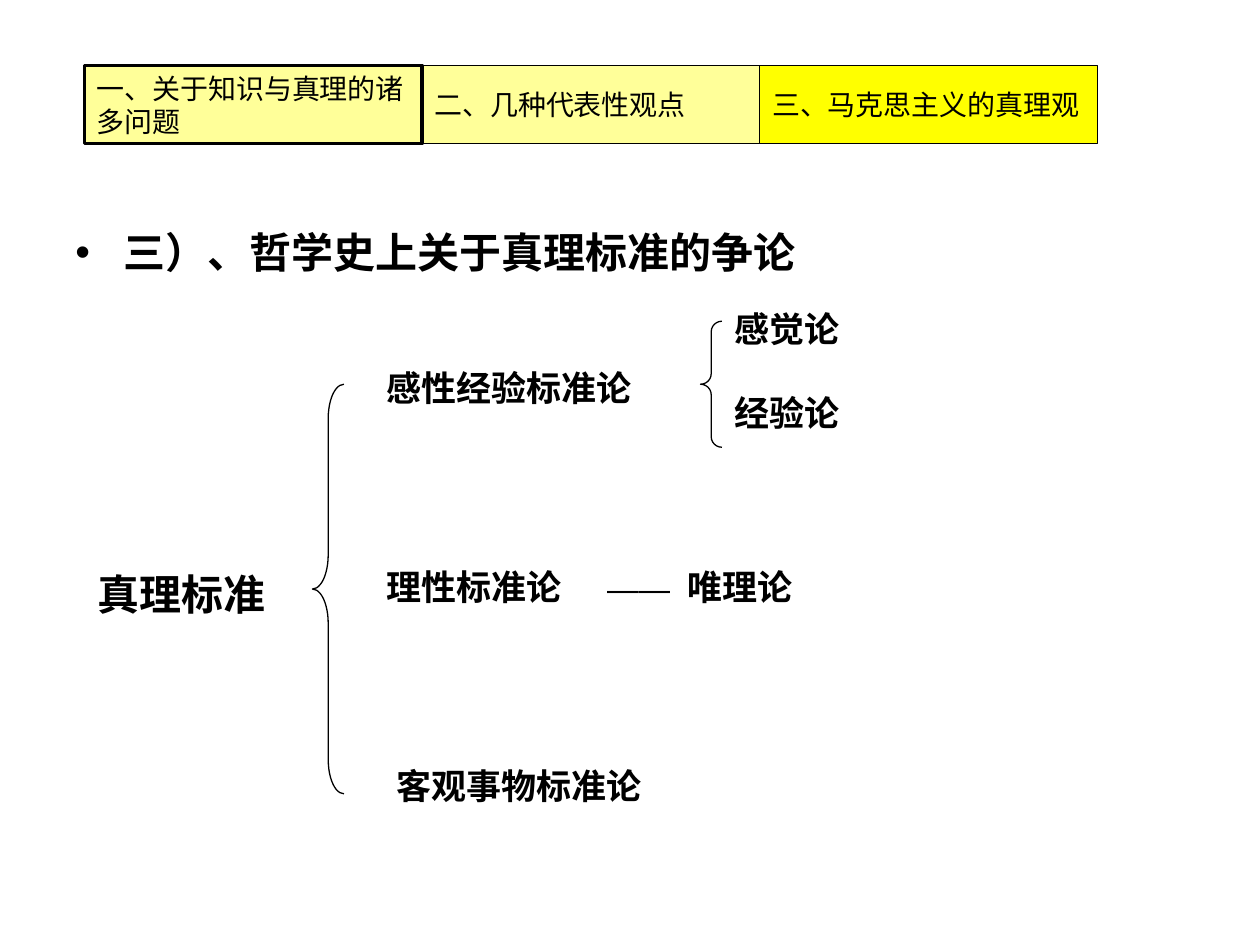
from pptx import Presentation
from pptx.dml.color import RGBColor
from pptx.enum.shapes import MSO_SHAPE
from pptx.enum.text import MSO_ANCHOR, MSO_AUTO_SIZE, PP_ALIGN
from pptx.oxml.ns import qn
from pptx.util import Inches, Pt
from lxml.etree import SubElement

BLACK = RGBColor(0x00, 0x00, 0x00)
PALE_YELLOW = RGBColor(0xFF, 0xFF, 0x99)
YELLOW = RGBColor(0xFF, 0xFF, 0x00)

WIDTH, HEIGHT = Inches(10), Inches(7.5)
COLUMNS, ROWS = 100, 75


def write(frame, lines, size=20, bold=True, wrap=False, gap=0,
          anchor=MSO_ANCHOR.TOP, bullet=None):
    """Fill a text frame with one paragraph per line."""
    frame.word_wrap = wrap
    frame.auto_size = (MSO_AUTO_SIZE.NONE if wrap
                       else MSO_AUTO_SIZE.SHAPE_TO_FIT_TEXT)
    frame.vertical_anchor = anchor
    for index, line in enumerate(lines.split("\n")):
        paragraph = frame.paragraphs[0] if index == 0 else frame.add_paragraph()
        paragraph.alignment = PP_ALIGN.LEFT
        paragraph.space_before = Pt(gap if index or bullet else 0)
        run = paragraph.add_run()
        run.text = line
        run.font.name = "Arial"
        run.font.size = Pt(size)
        run.font.bold = bold
        run.font.color.rgb = BLACK
        if bullet:
            properties = paragraph._p.get_or_add_pPr()
            properties.set("marL", str(Inches(0.38)))
            properties.set("indent", str(-Inches(0.38)))
            SubElement(properties, qn("a:buFont")).set("typeface", "Arial")
            SubElement(properties, qn("a:buChar")).set("char", bullet)


class Board:
    """The current slide, laid out on a grid of columns and rows."""

    def __init__(self, slide):
        self.shapes = slide.shapes

    def place(self, column, row, columns, rows):
        cell_width, cell_height = WIDTH / COLUMNS, HEIGHT / ROWS
        return (int(column * cell_width), int(row * cell_height),
                int(columns * cell_width), int(rows * cell_height))

    def label(self, text, *area, **style):
        box = self.shapes.add_textbox(*self.place(*area))
        write(box.text_frame, text, **style)

    def outline(self, kind, area, line_width=0.75, fill=None):
        shape = self.shapes.add_shape(kind, *self.place(*area))
        shape.shadow.inherit = False
        shape.line.color.rgb = BLACK
        shape.line.width = Pt(line_width)
        if fill is None:
            shape.fill.background()
        else:
            shape.fill.solid()
            shape.fill.fore_color.rgb = fill
        return shape

    def tab(self, text, area, fill, line_width):
        shape = self.outline(MSO_SHAPE.RECTANGLE, area, line_width, fill)
        write(shape.text_frame, text, size=16, bold=False, wrap=True,
              anchor=MSO_ANCHOR.MIDDLE)

    def brace(self, *area):
        shape = self.outline(MSO_SHAPE.LEFT_BRACE, area)
        # Each curl takes a twelfth of the height
        shape.adjustments[0] = shape.height / shape.width / 12


def main():
    deck = Presentation()
    deck.slide_width, deck.slide_height = WIDTH, HEIGHT
    board = Board(deck.slides.add_slide(deck.slide_layouts[6]))

    # Section heading
    board.label("三）、哲学史上关于真理标准的争论", 5, 17.5, 90, 6,
                size=24, wrap=True, gap=6, bullet="•")

    # Chapter tabs; the thick-bordered first one lies over the second
    tabs = [(1, "二、几种代表性观点", PALE_YELLOW, 0.75),
            (0, "一、关于知识与真理的诸多问题", PALE_YELLOW, 2),
            (2, "三、马克思主义的真理观", YELLOW, 0.75)]
    for position, text, fill, line_width in tabs:
        board.tab(text, (6.7 + 26.8 * position, 5.2, 26.8, 6.2),
                  fill, line_width)

    # Root of the tree
    board.label("真理标准", 6.75, 44.6, 15.4, 5, size=24)
    board.brace(24.8, 30.5, 2.5, 32.5)

    # Three standards, evenly spaced
    standards = [("感性经验标准论", 29.7, 21.6),
                 ("理性标准论", 29.7, 16),
                 ("客观事物标准论", 30.5, 21.6)]
    for index, (text, column, columns) in enumerate(standards):
        board.label(text, column, 28.6 + 15.8 * index, columns, 4.4)

    # Schools that belong to the standards
    board.brace(55.6, 25.5, 1.7, 10)
    board.label("感觉论\n经验论", 57.3, 23.9, 10.5, 11, gap=24)
    board.label("唯理论", 53.6, 44.4, 10.5, 4.4)
    board.label("——", 47.2, 44.7, 7, 4, size=18, bold=False)

    deck.save("out.pptx")


if __name__ == "__main__":
    main()
